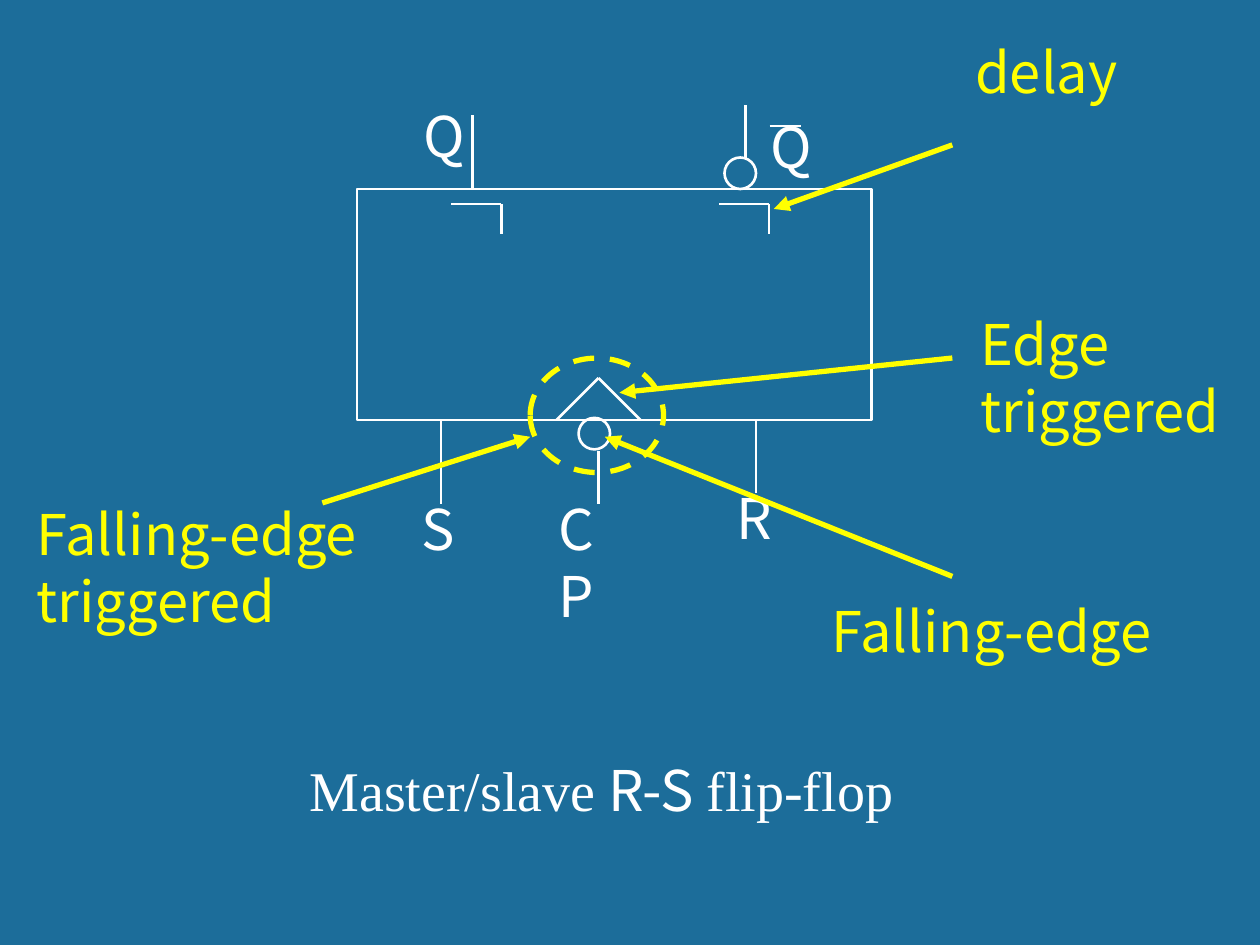
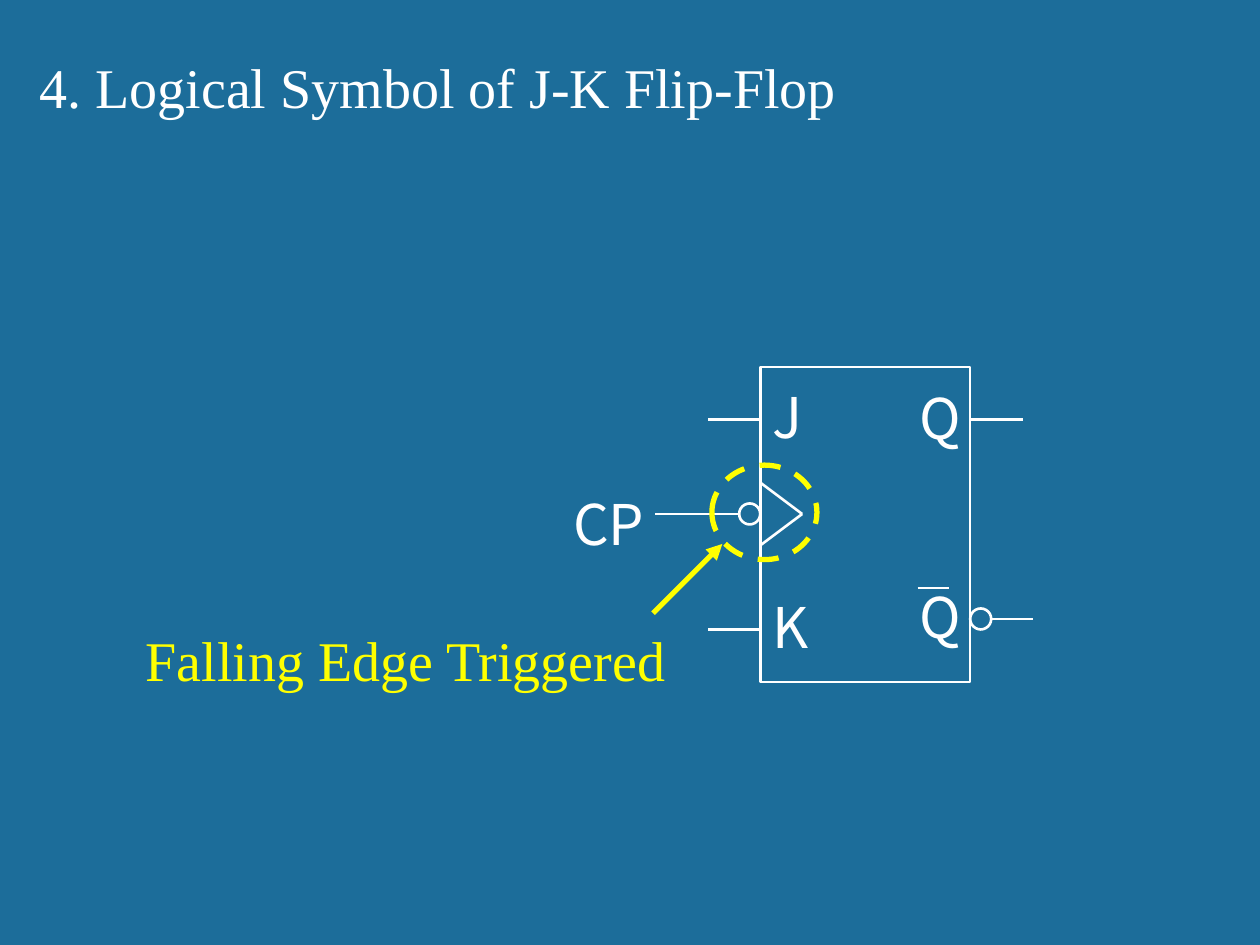
import pptx
import pptx.util
import pptx.dml.color
import pptx.enum.dml
import pptx.enum.shapes
import pptx.enum.text
import pptx.oxml.ns
import lxml.etree

COLORS = {"background": "1C6D9A", "ink": "FFFFFF", "note": "FFFF00"}
SANS, SERIF = "Noto Sans CJK SC", "Times New Roman"
TEXT_SIZE = 32
THIN, THICK = 1.5, 3
COLS, ROWS = 120, 90  # the slide grid: twelve cells to the inch
LETTER_W, LETTER_H = 5, 7.6
LINE_H = 7.7


def cell(n):
    return pptx.util.Inches(n / 12)


def rgb(name):
    return pptx.dml.color.RGBColor.from_string(COLORS[name])


def add_slide(prs):
    s = prs.slides.add_slide(prs.slide_layouts[6])
    s.background.fill.solid()
    s.background.fill.fore_color.rgb = rgb("background")
    return s


def set_line(line, color, width):
    line.color.rgb = rgb(color)
    line.width = pptx.util.Pt(width)


def add_outline(s, kind, x, y, w, h, color="ink", width=THIN):
    sp = s.shapes.add_shape(kind, cell(x), cell(y), cell(w), cell(h))
    sp.shadow.inherit = False
    sp.fill.background()
    set_line(sp.line, color, width)
    return sp


def add_box(s, x, y, w, h):
    return add_outline(s, pptx.enum.shapes.MSO_SHAPE.RECTANGLE, x, y, w, h)


def add_bubble(s, x, y, size):
    return add_outline(s, pptx.enum.shapes.MSO_SHAPE.OVAL, x, y, size, size)


def add_focus_ring(s, x, y, w, h):
    sp = add_outline(s, pptx.enum.shapes.MSO_SHAPE.OVAL, x, y, w, h, "note", THICK)
    sp.line.dash_style = pptx.enum.dml.MSO_LINE.DASH


def add_line(s, start, end, color="ink", width=THIN):
    ends = [cell(n) for n in (*start, *end)]
    line = s.shapes.add_connector(pptx.enum.shapes.MSO_CONNECTOR.STRAIGHT, *ends)
    set_line(line.line, color, width)
    lxml.etree.SubElement(line._element.spPr, pptx.oxml.ns.qn("a:effectLst"))
    return line


def add_path(s, *points):
    for start, end in zip(points, points[1:]):
        add_line(s, start, end)


def add_arrow(s, start, end):
    line = add_line(s, start, end, "note", THICK)
    ln = line.line._get_or_add_ln()
    lxml.etree.SubElement(ln, pptx.oxml.ns.qn("a:tailEnd"), type="triangle")


def add_text(s, x, y, w, h, *runs, color="ink"):
    """Each run is a (text, font) pair."""
    tf = s.shapes.add_textbox(cell(x), cell(y), cell(w), cell(h)).text_frame
    tf.word_wrap = True
    for text, font in runs:
        r = tf.paragraphs[0].add_run()
        r.text = text
        r.font.name = font
        r.font.size = pptx.util.Pt(TEXT_SIZE)
        r.font.color.rgb = rgb(color)
    return tf


def add_label(s, text, x, y, w=LETTER_W):
    add_text(s, x, y, w, LETTER_H, (text, SANS))


def add_note(s, text, x, y, w, lines=1, font=SANS):
    add_text(s, x, y, w, LINE_H * lines, (text, font), color="note")


def add_overbar(s, x, y):
    add_line(s, (x, y), (x + 3, y))


def build_master_slave(prs):
    s = add_slide(prs)
    top, bottom = 18, 40
    add_box(s, 34, top, 49, bottom - top)

    # Input pins and clock wedge
    for x, start, end in ((42, bottom, 48), (57, 43, 48), (72, bottom, 47)):
        add_line(s, (x, start), (x, end))
    add_path(s, (53, bottom), (57, 36), (61, bottom))
    add_bubble(s, 55.1, 39.8, 3)

    # Output pins
    add_line(s, (45, top), (45, 11))
    add_bubble(s, 69, top - 3, 3)
    add_line(s, (71, top - 3), (71, 10))

    # Pin names
    add_label(s, "S", 39, 46.5)
    add_label(s, "R", 69, 45.5)
    add_label(s, "CP", 52, 46.5, 7.8)
    add_label(s, "Q", 39.2, 9.1)
    add_label(s, "Q", 72.2, 10.1)
    add_overbar(s, 73.3, 12)

    # Delay marks under both outputs
    for x in (43, 68.5):
        add_path(s, (x, 19.45), (x + 4.75, 19.45), (x + 4.75, 22.3))

    # Notes and their arrows
    add_focus_ring(s, 50.5, 34.1, 12.7, 10.9)
    arrow_x = 90.7
    add_arrow(s, (arrow_x, 13.8), (73.7, 19.9))
    add_arrow(s, (arrow_x, 34.1), (59, 37.4))
    add_arrow(s, (arrow_x, 54.9), (57.6, 41.6))
    add_arrow(s, (30.7, 47.9), (50.5, 41.6))
    add_note(s, "delay", 91.7, 3, 26)
    add_note(s, "Edge triggered", 92.2, 28.9, 27.8, lines=2)
    add_note(s, "Falling-edge", 78, 56.2, 40)
    add_note(s, "Falling-edge triggered", 2.3, 47, 35.9, lines=2)

    # Caption
    add_text(s, 28.3, 71.4, 61.3, LINE_H,
             ("Master/slave", SERIF), (" R-S ", SANS), ("flip-flop", SERIF))


def build_jk_symbol(prs):
    s = add_slide(prs)
    tf = add_text(s, 2.6, 4.3, 115, LINE_H,
                  ("4. Logical Symbol of J-K Flip-Flop", SERIF))
    tf.vertical_anchor = pptx.enum.text.MSO_ANCHOR.BOTTOM

    # Body and clock wedge
    left, top, width, height = 72.4, 34.95, 20, 30
    right = left + width
    clock_y, bar_y = top + 14, top + 24
    add_box(s, left, top, width, height)
    add_path(s, (left, clock_y - 3), (left + 4, clock_y), (left, clock_y + 3))

    # Pins
    for y in (top + 5, top + 25):
        add_line(s, (left, y), (left - 5, y))
    add_line(s, (right, top + 5), (right + 5, top + 5))
    add_bubble(s, left - 2, clock_y - 1, 2)
    add_line(s, (left - 2, clock_y), (left - 10, clock_y))
    add_bubble(s, right, bar_y - 1, 2)
    add_line(s, (right + 2, bar_y), (right + 6, bar_y))

    # Pin names
    add_label(s, "J", left, 35.8)
    add_label(s, "K", left, 55.8)
    add_label(s, "Q", right - 6, 35.9)
    add_label(s, "Q", right - 6, 54.9)
    add_overbar(s, right - 5, 56)
    add_label(s, "CP", 53.4, 46, 12)

    # Trigger note
    add_focus_ring(s, 67.8, 44.3, 10, 9)
    add_arrow(s, (62.2, 58.4), (68.8, 51.8))
    add_note(s, "Falling Edge Triggered", 12.7, 59, 55.8, font=SERIF)


def main():
    prs = pptx.Presentation()
    prs.slide_width, prs.slide_height = cell(COLS), cell(ROWS)
    build_master_slave(prs)
    build_jk_symbol(prs)
    prs.save("out.pptx")


if __name__ == "__main__":
    main()
